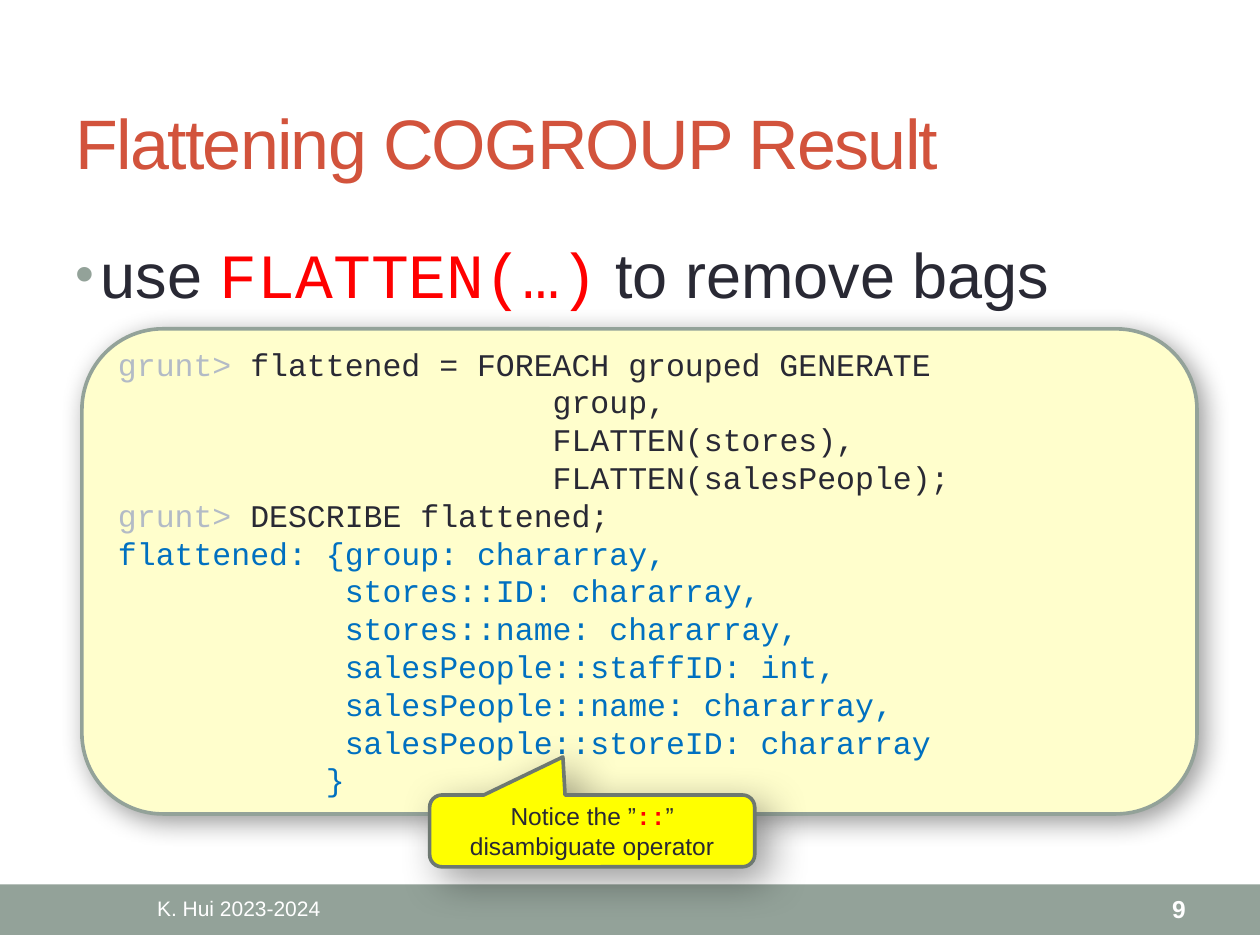
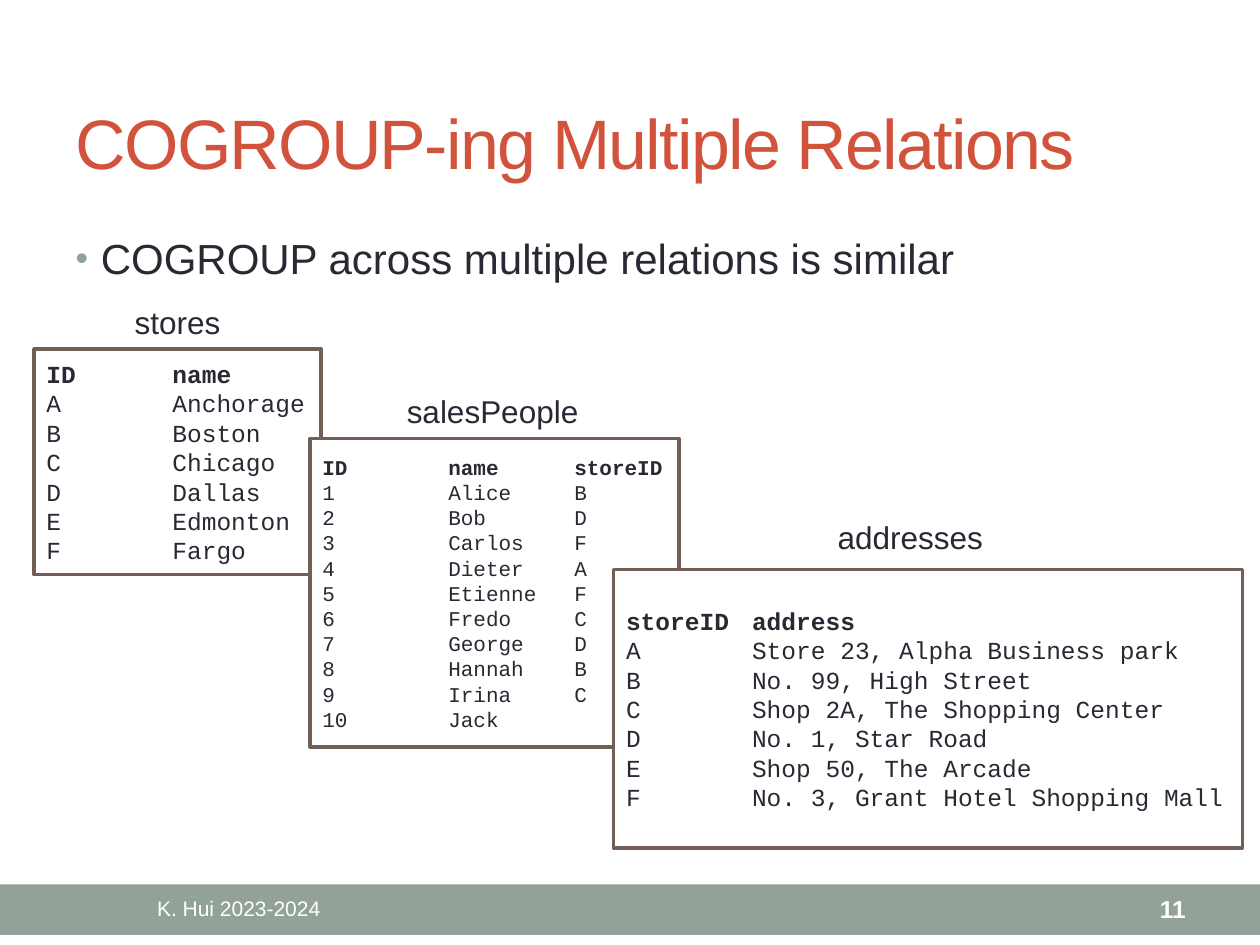
from dataclasses import dataclass

from pptx import Presentation
from pptx.dml.color import RGBColor
from pptx.enum.shapes import MSO_SHAPE as SHAPE
from pptx.enum.text import MSO_ANCHOR as ANCHOR, MSO_AUTO_SIZE as AUTO, PP_ALIGN as ALIGN
from pptx.oxml import parse_xml
from pptx.oxml.ns import nsdecls, qn
from pptx.util import Inches, Pt


@dataclass(frozen=True)
class Theme:
    sans: str = "Arial"
    mono: str = "Courier New"
    ink: str = "292934"
    title: str = "D2533C"
    sage: str = "93A299"
    white: str = "FFFFFF"
    red: str = "FF0000"
    prompt: str = "B3BBC6"
    output: str = "0070C0"
    code_fill: str = "FFFECC"
    note_fill: str = "FFFF00"
    note_line: str = "6D7871"
    table_line: str = "726056"
    title_size: int = 40
    label_size: int = 18
    code_size: int = 18
    note_size: int = 14
    footer_size: int = 12
    line_width: float = 2.08


T = Theme()


def write(tf, paragraphs, font=T.sans, size=T.label_size, color=T.ink, bold=False,
          align=ALIGN.LEFT, anchor=ANCHOR.TOP, wrap=True, spacing=None, marks=""):
    """Fill a text frame; a paragraph is a list of (text, run overrides), marks is pPr XML."""
    tf.word_wrap = wrap
    tf.auto_size = AUTO.NONE
    tf.vertical_anchor = anchor
    for i, runs in enumerate(paragraphs):
        p = tf.add_paragraph() if i else tf.paragraphs[0]
        if marks:
            pPr = p._p.get_or_add_pPr()
            for mark in parse_xml(f"<a:pPr {nsdecls('a')}>{marks}</a:pPr>"):
                pPr.append(mark)
        p.alignment = align
        p.space_before = Pt(0)
        for text, changes in runs:
            style = {"font": font, "size": size, "color": color, "bold": bold, **changes}
            r = p.add_run()
            r.text = text
            r.font.name = style["font"]
            r.font.size = Pt(style["size"])
            r.font.bold = style["bold"]
            r.font.color.rgb = RGBColor.from_string(style["color"])
            if spacing is not None:
                r._r.get_or_add_rPr().set("spc", str(spacing * 100))


def add_box(s, kind, at, fill, line=None, shadow=None):
    """Add a preset shape; shadow is (blur, distance) in points."""
    sp = s.shapes.add_shape(kind, *map(Inches, at))
    sp.fill.solid()
    sp.fill.fore_color.rgb = RGBColor.from_string(fill)
    if line:
        sp.line.color.rgb = RGBColor.from_string(line)
        sp.line.width = Pt(T.line_width)
    else:
        sp.line.fill.background()
    sp.shadow.inherit = False
    if shadow:
        blur, dist = map(Pt, shadow)
        sp._element.spPr.find(qn("a:effectLst")).append(parse_xml(
            f'<a:outerShdw {nsdecls("a")} blurRad="{blur}" dist="{dist}" dir="2700000" '
            'algn="tl" rotWithShape="0"><a:srgbClr val="000000"><a:alpha val="40000"/>'
            "</a:srgbClr></a:outerShdw>"))
    return sp


BULLET = (f'<a:buClr><a:srgbClr val="{T.sage}"/></a:buClr><a:buSzPct val="85000"/>'
          f'<a:buFont typeface="{T.sans}"/><a:buChar char="•"/>')
TABS = "<a:tabLst>" + "".join(
    f'<a:tab pos="{Inches(n)}" algn="l"/>' for n in (1, 2)) + "</a:tabLst>"

prs = Presentation()
prs.slide_width, prs.slide_height = Inches(10), Inches(7.5)

# Frame of both slides: title, bullet, band and footer
pages = [
    ("Flattening COGROUP Result", "9", 36, 0.98,
     [("use ", {}), ("FLATTEN(…)", {"font": T.mono, "color": T.red}), (" to remove bags", {})]),
    ("COGROUP-ing Multiple Relations", "11", 24, 0.9,
     [("COGROUP across multiple relations is similar", {})]),
]
slides = []
for title, number, bullet_size, body_height, bullet in pages:
    s = prs.slides.add_slide(prs.slide_layouts[1])
    slides.append(s)
    add_box(s, SHAPE.RECTANGLE, (0, 7.02, 10, 0.4), T.sage)

    sp = s.shapes.title
    sp.left, sp.top, sp.width, sp.height = map(Inches, (0.5, 0.58, 9, 1.08))
    write(sp.text_frame, [[(title, {})]], size=T.title_size, color=T.title,
          anchor=ANCHOR.MIDDLE, spacing=-1)

    sp = s.placeholders[1]
    sp.left, sp.top, sp.width, sp.height = map(Inches, (0.5, 1.75, 9, body_height))
    write(sp.text_frame, [bullet], size=bullet_size, marks=BULLET)
    sp.text_frame.margin_top = Inches(0.05 + bullet_size / 500)
    pPr = sp.text_frame.paragraphs[0]._p.get_or_add_pPr()
    pPr.set("marL", str(Inches(0.2)))
    pPr.set("indent", str(Inches(-0.2)))

    for text, left, width, size, bold, align in [
            ("K. Hui 2023-2024", 0.5, 2.79, T.footer_size, False, ALIGN.CENTER),
            (number, 8.34, 1.17, T.note_size, True, ALIGN.RIGHT)]:
        sp = s.shapes.add_textbox(*map(Inches, (left, 7.03, width, 0.36)))
        write(sp.text_frame, [[(text, {})]], size=size, color=T.white, bold=bold,
              align=align, anchor=ANCHOR.MIDDLE)

flatten_slide, relations_slide = slides

# Grunt session with its callout
prompt = ("grunt> ", {"color": T.prompt})
statements = [
    [prompt, ("flattened = FOREACH grouped GENERATE", {})],
    [("                       group,", {})],
    [("                       FLATTEN(stores),", {})],
    [("                       FLATTEN(salesPeople);", {})],
    [prompt, ("DESCRIBE flattened;", {})],
]
schema = [
    "flattened: {group: chararray,",
    "            stores::ID: chararray,",
    "            stores::name: chararray,",
    "            salesPeople::staffID: int,",
    "            salesPeople::name: chararray,",
    "            salesPeople::storeID: chararray",
    "           }",
]
sp = add_box(flatten_slide, SHAPE.ROUNDED_RECTANGLE, (0.65, 2.61, 8.85, 3.85),
             T.code_fill, T.sage, shadow=(15, 5))
write(sp.text_frame, statements + [[(row, {"color": T.output})] for row in schema],
      font=T.mono, size=T.code_size, anchor=ANCHOR.MIDDLE)

sp = add_box(flatten_slide, SHAPE.ROUNDED_RECTANGULAR_CALLOUT, (3.41, 6.31, 2.58, 0.57),
             T.note_fill, T.note_line, shadow=(24, 10))
for i, value in enumerate((-0.09, -1.03, 0.17)):
    sp.adjustments[i] = value
write(sp.text_frame,
      [[("Notice the ”", {}), ("::", {"font": T.mono, "color": T.red, "bold": True}),
        ("” disambiguate operator", {})]],
      size=T.note_size, align=ALIGN.CENTER, anchor=ANCHOR.MIDDLE)

# Relations listed as tabbed text, first row in bold
relations = [
    ("stores", (0.97, 2.36, 0.89, 0.4), (0.27, 2.77, 2.28, 1.79), 14, [
        ("ID", "name"), ("A", "Anchorage"), ("B", "Boston"), ("C", "Chicago"),
        ("D", "Dallas"), ("E", "Edmonton"), ("F", "Fargo")]),
    ("salesPeople", (3.13, 3.06, 1.58, 0.4), (2.46, 3.48, 2.93, 2.45), 12, [
        ("ID", "name", "storeID"), ("1", "Alice", "B"), ("2", "Bob", "D"),
        ("3", "Carlos", "F"), ("4", "Dieter", "A"), ("5", "Etienne", "F"),
        ("6", "Fredo", "C"), ("7", "George", "D"), ("8", "Hannah", "B"),
        ("9", "Irina", "C"), ("10", "Jack")]),
    ("addresses", (6.55, 4.06, 1.37, 0.4), (4.87, 4.52, 4.99, 2.21), 14, [
        ("storeID", "address"), ("A", "Store 23, Alpha Business park"),
        ("B", "No. 99, High Street"), ("C", "Shop 2A, The Shopping Center"),
        ("D", "No. 1, Star Road"), ("E", "Shop 50, The Arcade"),
        ("F", "No. 3, Grant Hotel Shopping Mall")]),
]
for name, label_at, box_at, size, rows in relations:
    sp = add_box(relations_slide, SHAPE.RECTANGLE, box_at, T.white, T.table_line)
    write(sp.text_frame,
          [[("\t".join(row), {"bold": i == 0})] for i, row in enumerate(rows)],
          font=T.mono, size=size, anchor=ANCHOR.MIDDLE, marks=TABS)
    sp = relations_slide.shapes.add_textbox(*map(Inches, label_at))
    write(sp.text_frame, [[(name, {})]], wrap=False)

prs.save("out.pptx")
